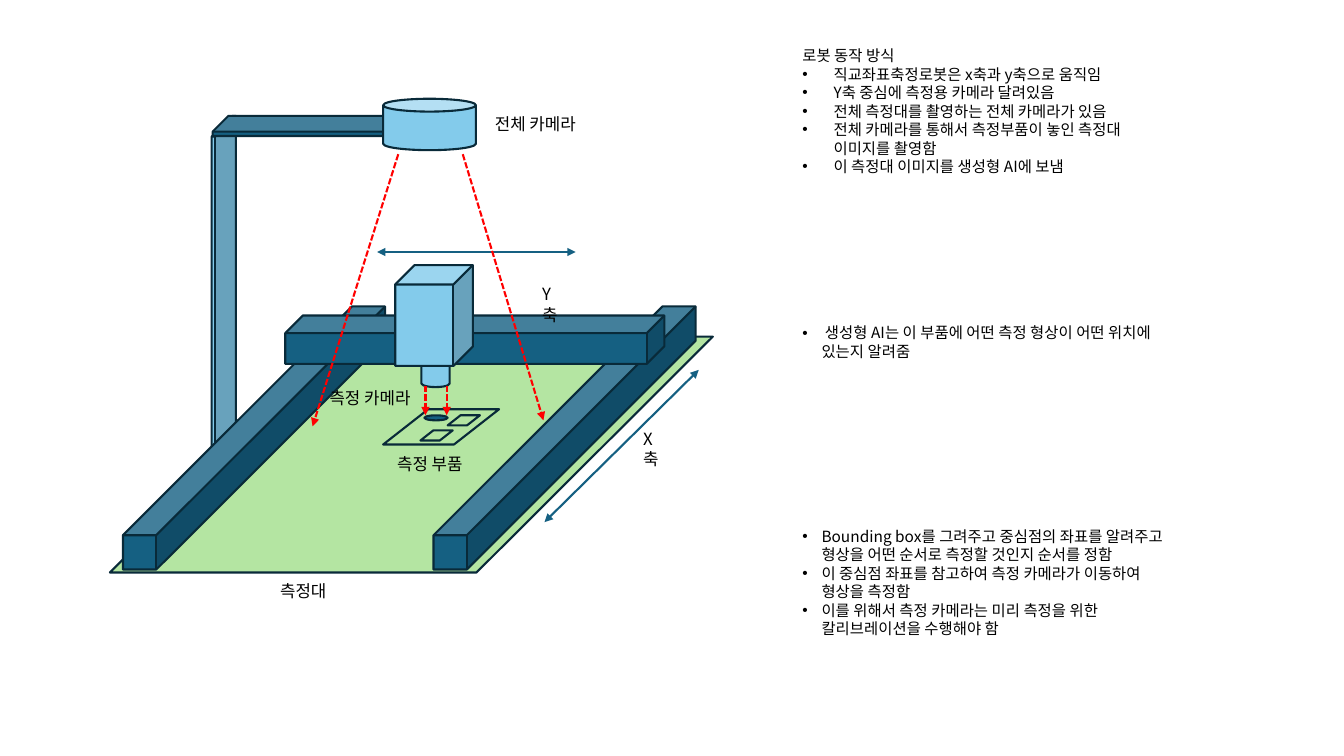
from dataclasses import dataclass

from lxml.etree import SubElement
from pptx import Presentation
from pptx.dml.color import RGBColor
from pptx.enum.dml import MSO_LINE
from pptx.enum.shapes import MSO_CONNECTOR, MSO_SHAPE
from pptx.oxml.ns import qn
from pptx.util import Inches, Pt


@dataclass(frozen=True)
class Theme:
    font: str = "Noto Sans CJK KR"
    text: str = "000000"
    outline: str = "092A39"
    frame: str = "156082"
    camera: str = "83CBEB"
    bench: str = "B4E5A2"
    sight: str = "FF0000"
    line_width: float = 1.5
    label_size: int = 12
    note_size: int = 11


@dataclass(frozen=True)
class Box:
    left: float
    top: float
    width: float
    height: float

    def inside(self, left, top, width=0, height=0):
        return Box(self.left + left, self.top + top, width, height)


THEME = Theme()
COLUMNS, ROWS = 133.3, 75
SLIDE_WIDTH, SLIDE_HEIGHT = Inches(13.33), Inches(7.5)


def column(value):
    return round(SLIDE_WIDTH * value / COLUMNS)


def row(value):
    return round(SLIDE_HEIGHT * value / ROWS)


def frame_of(box):
    return column(box.left), row(box.top), column(box.width), row(box.height)


def add_solid(slide, kind, box, fill, adjustment=None):
    shape = slide.shapes.add_shape(kind, *frame_of(box))
    shape.shadow.inherit = False
    shape.fill.solid()
    shape.fill.fore_color.rgb = RGBColor.from_string(fill)
    shape.line.color.rgb = RGBColor.from_string(THEME.outline)
    shape.line.width = Pt(THEME.line_width)
    if adjustment is not None:
        shape.adjustments[0] = adjustment


def add_arrow(slide, start, end, color, dashed=False, both_ends=False):
    arrow = slide.shapes.add_connector(
        MSO_CONNECTOR.STRAIGHT,
        column(start.left), row(start.top), column(end.left), row(end.top))
    arrow.line.color.rgb = RGBColor.from_string(color)
    arrow.line.width = Pt(THEME.line_width)
    if dashed:
        arrow.line.dash_style = MSO_LINE.SQUARE_DOT
    properties = arrow.element.spPr
    line = properties.find(qn("a:ln"))
    for end_name in ["a:headEnd", "a:tailEnd"] if both_ends else ["a:tailEnd"]:
        SubElement(line, qn(end_name), type="triangle")
    SubElement(properties, qn("a:effectLst"))


def write(paragraph, text, size, indent=None, space_before=0):
    if indent:
        properties = paragraph._p.get_or_add_pPr()
        properties.set("marL", str(Inches(indent)))
        properties.set("indent", str(-Inches(indent)))
        SubElement(properties, qn("a:buFont"), typeface="Arial")
        SubElement(properties, qn("a:buChar"), char="•")
    if space_before:
        paragraph.space_before = Pt(space_before)
    run = paragraph.add_run()
    run.text = text
    run.font.size = Pt(size)
    run.font.name = THEME.font
    run.font.color.rgb = RGBColor.from_string(THEME.text)
    SubElement(run._r.get_or_add_rPr(), qn("a:ea"), typeface=THEME.font)


def add_text_frame(slide, box):
    text_frame = slide.shapes.add_textbox(*frame_of(box)).text_frame
    text_frame.word_wrap = True
    return text_frame


def draw_camera_stand(slide, box):
    add_solid(slide, MSO_SHAPE.CUBE, box.inside(0, 1.7, 2.4, 33.2), THEME.camera, 0.853)
    add_solid(slide, MSO_SHAPE.CUBE, box.inside(0.1, 1.7, 19.7, 2), THEME.frame, 0.778)
    add_solid(slide, MSO_SHAPE.CAN, box.inside(17, 0, 9.2, 5.1), THEME.camera)


def draw_gantry(slide, box):
    add_solid(slide, MSO_SHAPE.PARALLELOGRAM, box.inside(0, 7.1, 59.8, 23.4),
              THEME.bench, 1.002)
    add_solid(slide, MSO_SHAPE.CAN, box.inside(30.9, 8.6, 2.8, 3.5), THEME.camera)
    for rail in range(2):
        add_solid(slide, MSO_SHAPE.CUBE, box.inside(1.3 + 30.8 * rail, 4.1, 26, 26.1),
                  THEME.frame, 0.873)
    add_solid(slide, MSO_SHAPE.CUBE, box.inside(17.4, 5, 37.6, 4.8), THEME.frame, 0.364)
    add_solid(slide, MSO_SHAPE.CUBE, box.inside(28.3, 0, 7.7, 10), THEME.camera)


def draw_part(slide, box):
    plates = [(0, 0, 11.5, 3.5), (6.4, 0.6, 3.2, 1), (3.7, 2.1, 3.2, 1)]
    for plate in plates:
        add_solid(slide, MSO_SHAPE.PARALLELOGRAM, box.inside(*plate), THEME.bench, 1.278)
    add_solid(slide, MSO_SHAPE.FLOWCHART_CONNECTOR, box.inside(4.1, 0.6, 2.3, 0.5),
              THEME.frame)


def draw_arrows(slide, box):
    axes = [((43.1, 42), (58.4, 26.9)), ((26.5, 15.2), (46.2, 15.2))]
    sight_lines = [((31.3, 28.5), (31.3, 31.4)), ((33.4, 28.5), (33.4, 31.4)),
                   ((28.6, 5.5), (20.1, 32.5)), ((35, 5.5), (43, 31.9))]
    for start, end in axes:
        add_arrow(slide, box.inside(*start), box.inside(*end), THEME.frame, both_ends=True)
    for start, end in sight_lines:
        add_arrow(slide, box.inside(*start), box.inside(*end), THEME.sight, dashed=True)


def draw_labels(slide, box):
    labels = [("전체 카메라", 37.2, 1, 11.6, 3), ("측정 카메라", 20.8, 28.2, 11.6, 3),
              ("X축", 51.9, 32.2, 4, 5), ("Y축", 41.9, 17.9, 4, 5),
              ("측정 부품", 27.5, 34.7, 9.9, 3), ("측정대", 15.9, 47.3, 7.7, 3)]
    for text, *place in labels:
        text_frame = add_text_frame(slide, box.inside(*place))
        write(text_frame.paragraphs[0], text, THEME.label_size)


def draw_diagram(slide, box):
    draw_camera_stand(slide, box.inside(10.1, 0, 26.2, 34.9))
    draw_gantry(slide, box.inside(0, 16.5, 59.8, 30.5))
    draw_part(slide, box.inside(27.1, 30.8, 11.5, 3.5))
    draw_arrows(slide, box)
    draw_labels(slide, box)


def draw_notes(slide, box):
    wide, narrow = 0.31, 0.19
    line = THEME.note_size * 1.2
    notes = [
        ("로봇 동작 방식", None, 0),
        ("직교좌표축정로봇은 x축과 y축으로 움직임", wide, 0),
        ("Y축 중심에 측정용 카메라 달려있음", wide, 0),
        ("전체 측정대를 촬영하는 전체 카메라가 있음", wide, 0),
        ("전체 카메라를 통해서 측정부품이 놓인 측정대 이미지를 촬영함", wide, 0),
        ("이 측정대 이미지를 생성형 AI에 보냄", wide, 0),
        (" 생성형 AI는 이 부품에 어떤 측정 형상이 어떤 위치에 있는지 알려줌", narrow, 8 * line),
        ("Bounding box를 그려주고 중심점의 좌표를 알려주고 형상을 어떤 순서로 "
         "측정할 것인지 순서를 정함", narrow, 9 * line),
        ("이 중심점 좌표를 참고하여 측정 카메라가 이동하여 형상을 측정함", narrow, 0),
        ("이를 위해서 측정 카메라는 미리 측정을 위한 칼리브레이션을 수행해야 함", narrow, 0),
    ]
    text_frame = add_text_frame(slide, box)
    for index, (text, indent, gap) in enumerate(notes):
        paragraph = text_frame.add_paragraph() if index else text_frame.paragraphs[0]
        write(paragraph, text, THEME.note_size, indent=indent, space_before=gap)


def main():
    presentation = Presentation()
    presentation.slide_width, presentation.slide_height = SLIDE_WIDTH, SLIDE_HEIGHT
    slide = presentation.slides.add_slide(presentation.slide_layouts[6])
    draw_diagram(slide, Box(10.9, 9.8, 59.8, 50.3))
    draw_notes(slide, Box(78.6, 4.1, 39, 62.1))
    presentation.save("out.pptx")


if __name__ == "__main__":
    main()
